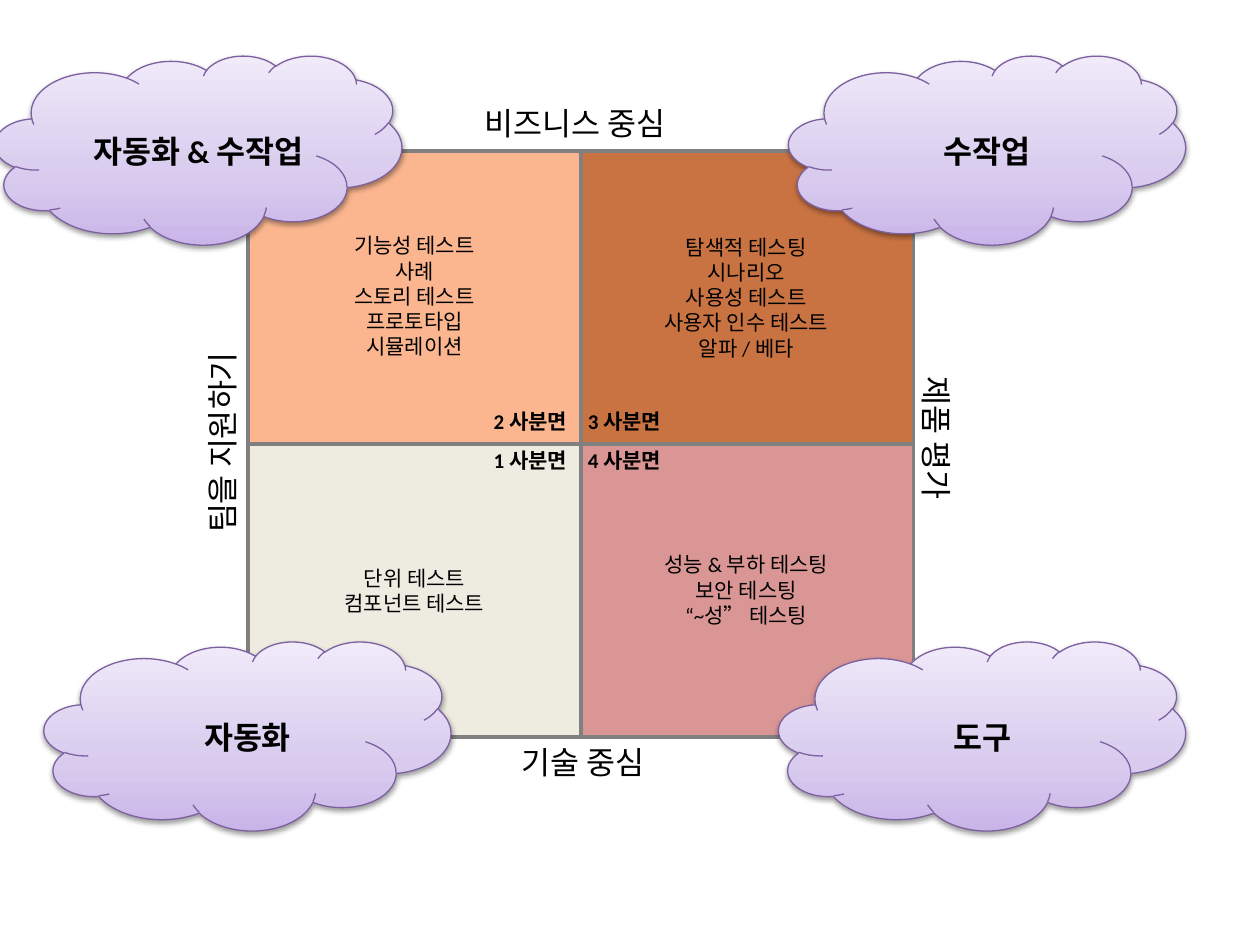
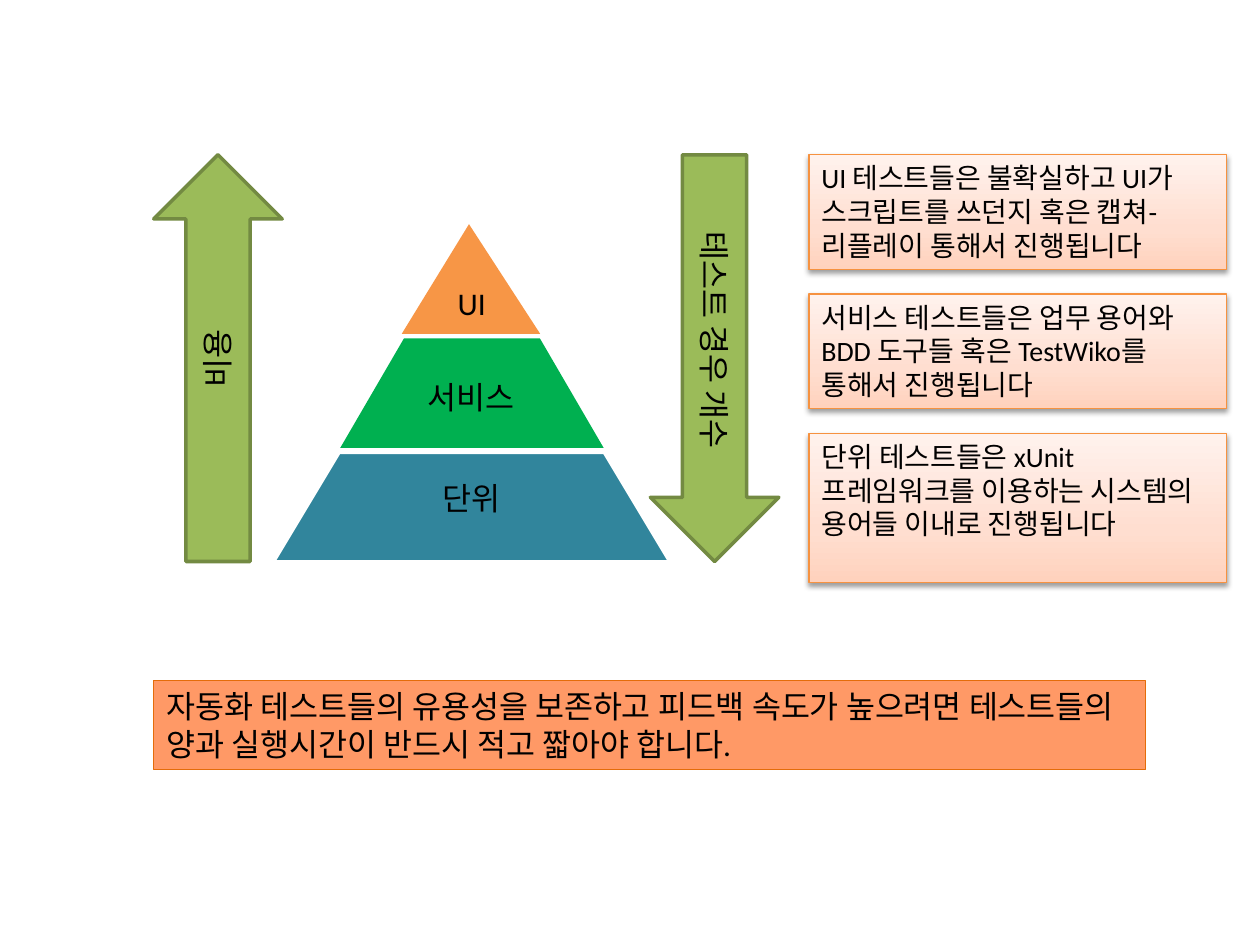
from dataclasses import dataclass
from typing import Optional

from lxml.etree import SubElement
from pptx import Presentation
from pptx.dml.color import RGBColor
from pptx.enum.shapes import MSO_SHAPE as Preset
from pptx.enum.text import MSO_ANCHOR as Anchor, PP_ALIGN as Align
from pptx.oxml.ns import qn
from pptx.util import Cm, Pt

FONT = "Calibri"
COLORS = {
    "text": "000000",
    "white": "FFFFFF",
    "grid": "808080",
    "peach": "FBB68F",
    "rust": "C97343",
    "rose": "D99694",
    "ivory": "EEECE1",
    "cloud_line": "7D60A0",
    "arrow": "9BBB59",
    "arrow_line": "738A42",
    "orange": "F79646",
    "green": "00B050",
    "teal": "31859C",
    "card_line": "F69240",
    "banner": "FF9966",
    "banner_line": "E46C0A",
}
CLOUD_GRADIENT = ((0, "C9B5E8"), (35, "D8CBEE"), (100, "F0EAF9"))
CARD_GRADIENT = ((0, "FFD2BD"), (35, "FFDED0"), (100, "FFF2ED"))
LABEL_HEIGHT = 1.02


@dataclass(frozen=True)
class Box:
    left: float
    top: float
    width: float
    height: float = LABEL_HEIGHT

    def lengths(self) -> tuple:
        return Cm(self.left), Cm(self.top), Cm(self.width), Cm(self.height)


@dataclass(frozen=True)
class Quadrant:
    column: int
    row: int
    color: str
    number: int
    tests: tuple
    tests_box: Box


@dataclass(frozen=True)
class Cloud:
    text: str
    left: float
    top: float
    width: float = 8.2


@dataclass(frozen=True)
class Label:
    text: str
    box: Box
    rotation: int = 0
    align: Align = Align.CENTER


@dataclass(frozen=True)
class Tier:
    preset: Preset
    left: float
    width: float
    adjustment: float
    color: str
    label: Label
    line: Optional[str] = None


@dataclass(frozen=True)
class Card:
    text: str
    height: float = 2.31


QUADRANTS = (
    Quadrant(0, 0, "peach", 2,
             ("기능성 테스트", "사례", "스토리 테스트", "프로토타입", "시뮬레이션"),
             Box(6.55, 4.57, 3.61, 2.82)),
    Quadrant(1, 0, "rust", 3,
             ("탐색적 테스팅", "시나리오", "사용성 테스트", "사용자 인수 테스트", "알파 / 베타"),
             Box(12.9, 4.6, 4.29, 2.82)),
    Quadrant(1, 1, "rose", 4,
             ("성능 & 부하 테스팅", "보안 테스팅", "“~성” 테스팅"),
             Box(12.9, 11, 4.29, 1.8)),
    Quadrant(0, 1, "ivory", 1,
             ("단위 테스트", "컴포넌트 테스트"),
             Box(6.55, 11.28, 3.61, 1.27)),
)
CLOUDS = (
    Cloud("자동화 & 수작업", -0.1, 1.12),
    Cloud("수작업", 15.9, 1.12, 8),
    Cloud("자동화", 0.89, 12.93),
    Cloud("도구", 15.7, 12.93),
)
AXIS_LABELS = (
    Label("비즈니스 중심", Box(7.7, 1.98, 7.8)),
    Label("기술 중심", Box(8.46, 14.86, 6.6)),
    Label("제품 평가", Box(15.95, 8.32, 5.89), 90),
    Label("팀을 지원하기", Box(1.27, 8.41, 6.4), 270),
)
ARROW_LABELS = (
    Label("비용", Box(1.78, 6.71, 5.21), 270),
    Label("테스트 경우 개수", Box(11.61, 6.71, 5.59), 90, Align.LEFT),
)
TIERS = (
    Tier(Preset.ISOSCELES_TRIANGLE, 8.1, 2.79, 0.486, "orange",
         Label("UI", Box(8.71, 5.61, 1.6))),
    Tier(Preset.TRAPEZOID, 6.86, 5.31, 0.582, "green",
         Label("서비스", Box(8.1, 7.49, 2.79))),
    Tier(Preset.TRAPEZOID, 5.51, 8, 0.6, "teal",
         Label("단위", Box(6.86, 9.53, 5.31)), "white"),
)
CARDS = (
    Card("UI 테스트들은 불확실하고 UI가 스크립트를 쓰던지 혹은 캡쳐-리플레이 통해서 진행됩니다"),
    Card("서비스 테스트들은 업무 용어와 BDD 도구들 혹은 TestWiko를 통해서 진행됩니다"),
    Card("단위 테스트들은 xUnit 프레임워크를 이용하는 시스템의 용어들 이내로 진행됩니다", 3),
)
BANNER = "자동화 테스트들의 유용성을 보존하고 피드백 속도가 높으려면 테스트들의 양과 실행시간이 반드시 적고 짧아야 합니다."


def rgb(name: str) -> RGBColor:
    return RGBColor.from_string(COLORS[name])


def write(shape, *lines: str, size: float = 18, bold: bool = False,
          align: Align = Align.LEFT) -> None:
    frame = shape.text_frame
    frame.word_wrap = True
    frame.vertical_anchor = Anchor.TOP
    for index, line in enumerate(lines):
        paragraph = frame.add_paragraph() if index else frame.paragraphs[0]
        paragraph.alignment = align
        run = paragraph.add_run()
        run.text = line
        run.font.name = FONT
        run.font.size = Pt(size)
        run.font.bold = bold
        run.font.color.rgb = rgb("text")


def add_text(slide, box: Box, *lines: str, rotation: int = 0, **text_format):
    shape = slide.shapes.add_textbox(*box.lengths())
    shape.rotation = rotation
    write(shape, *lines, **text_format)
    return shape


def add_label(slide, label: Label) -> None:
    add_text(slide, label.box, label.text, rotation=label.rotation, align=label.align)


def add_preset(slide, preset: Preset, box: Box, fill: Optional[str] = None,
               line: Optional[str] = None, line_width: float = 2):
    shape = slide.shapes.add_shape(preset, *box.lengths())
    shape.shadow.inherit = False
    if fill:
        shape.fill.solid()
        shape.fill.fore_color.rgb = rgb(fill)
    if line:
        shape.line.color.rgb = rgb(line)
        shape.line.width = Pt(line_width)
    else:
        shape.line.fill.background()
    return shape


def add_raised(slide, preset: Preset, box: Box, gradient: tuple, line: str):
    shape = add_preset(slide, preset, box, line=line, line_width=0.75)
    shape.fill.gradient()
    shape.fill.gradient_angle = 90
    properties = shape.element.spPr
    stops = properties.find(f"{qn('a:gradFill')}/{qn('a:gsLst')}")
    for stop in list(stops):
        stops.remove(stop)
    for position, color in gradient:
        stop = SubElement(stops, qn("a:gs"), pos=str(position * 1000))
        SubElement(stop, qn("a:srgbClr"), val=color)
    shadow = SubElement(properties.find(qn("a:effectLst")), qn("a:outerShdw"),
                        blurRad=str(Pt(3.1)), dist=str(Pt(1.6)),
                        dir="5400000", rotWithShape="0")
    shade = SubElement(shadow, qn("a:srgbClr"), val=COLORS["text"])
    SubElement(shade, qn("a:alpha"), val="38000")
    return shape


def draw_quadrants(slide) -> None:
    width, height = 6.71, 5.9
    for quadrant in QUADRANTS:
        box = Box(5 + quadrant.column * width, 3.05 + quadrant.row * 5.91, width, height)
        add_preset(slide, Preset.RECTANGLE, box, quadrant.color, "grid")
    for cloud in CLOUDS:
        box = Box(cloud.left, cloud.top, cloud.width, 3.81)
        add_raised(slide, Preset.CLOUD, box, CLOUD_GRADIENT, "cloud_line")
        add_text(slide, Box(cloud.left + 1.4, cloud.top + 1.42, cloud.width - 2.8),
                 cloud.text, bold=True, align=Align.CENTER)
    for quadrant in QUADRANTS:
        add_text(slide, quadrant.tests_box, *quadrant.tests, size=12, align=Align.CENTER)
        add_text(slide, Box((9.09, 11.6)[quadrant.column], 8.12 + quadrant.row * 0.77, 2.59, 0.76),
                 f"{quadrant.number} 사분면", size=12, bold=True,
                 align=(Align.RIGHT, Align.LEFT)[quadrant.column])
    for label in AXIS_LABELS:
        add_label(slide, label)


def draw_pyramid(slide) -> None:
    for left, rotation in ((3.1, 0), (13.11, 180)):
        arrow = add_preset(slide, Preset.UP_ARROW, Box(left, 3.12, 2.59, 8.2),
                           "arrow", "arrow_line")
        arrow.rotation = rotation
    for label in ARROW_LABELS:
        add_label(slide, label)
    for index, tier in enumerate(TIERS):
        box = Box(tier.left, 4.52 + index * 2.3, tier.width, 2.21)
        shape = add_preset(slide, tier.preset, box, tier.color, tier.line)
        shape.adjustments[0] = tier.adjustment
    for tier in TIERS:
        add_label(slide, tier.label)
    for index, card in enumerate(CARDS):
        box = Box(16.31, 3.12 + index * 2.81, 8.41, card.height)
        shape = add_raised(slide, Preset.RECTANGLE, box, CARD_GRADIENT, "card_line")
        write(shape, card.text, size=16)
    banner = add_preset(slide, Preset.RECTANGLE, Box(3.1, 13.72, 19.99, 1.8),
                        "banner", "banner_line", 0.75)
    write(banner, BANNER)


def main() -> None:
    presentation = Presentation()
    presentation.slide_width = Cm(25.4)
    presentation.slide_height = Cm(19.05)
    for draw in (draw_quadrants, draw_pyramid):
        draw(presentation.slides.add_slide(presentation.slide_layouts[6]))
    presentation.save("out.pptx")


main()
